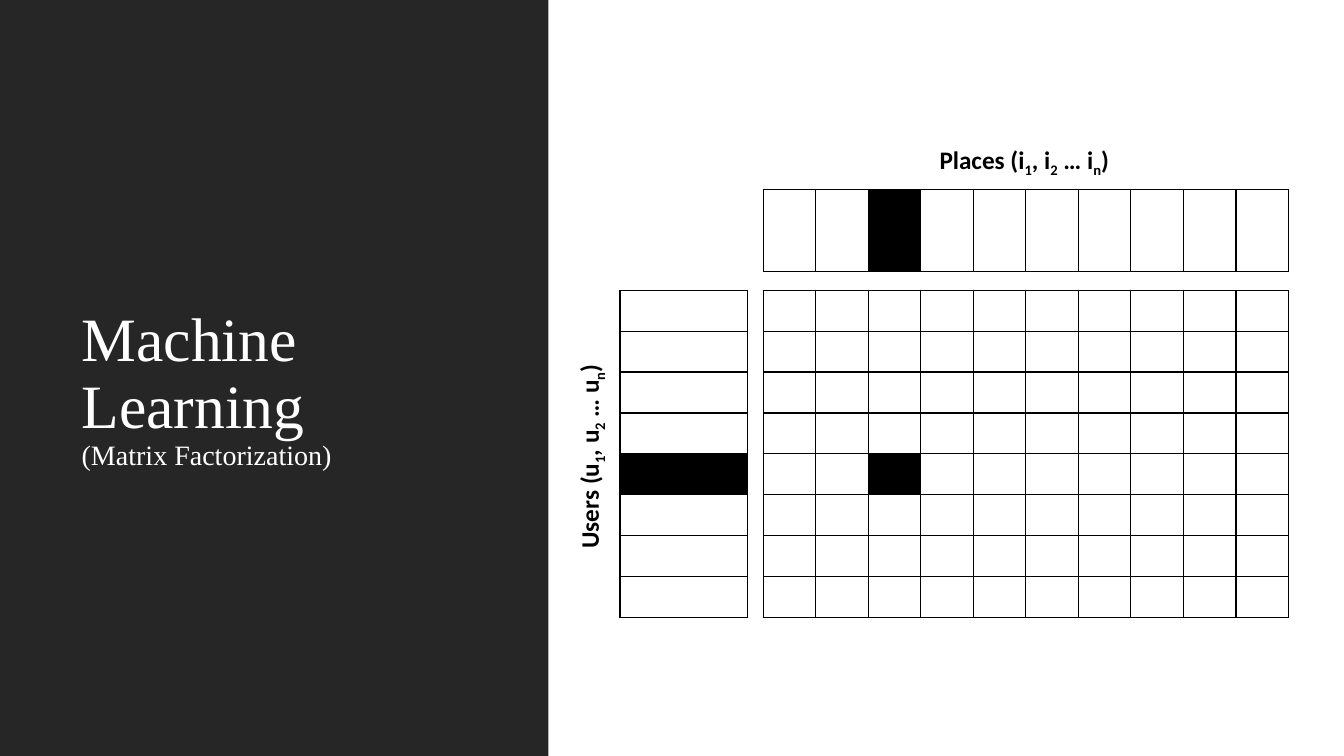
from lxml.etree import SubElement
from pptx import Presentation
from pptx.dml.color import RGBColor
from pptx.enum.shapes import MSO_SHAPE as Shape
from pptx.enum.text import MSO_ANCHOR as Anchor, MSO_AUTO_SIZE as Fit, PP_ALIGN as Align
from pptx.oxml.ns import qn
from pptx.util import Inches, Pt

COLORS = {"panel": "262626", "ink": "000000", "paper": "FFFFFF"}
ROWS, COLS = 8, 10
USER, PLACE = 4, 2
LEFT, TOP, WIDTH, HEIGHT = 7.57, 2.88, 5.21, 3.24


def color(name):
    return RGBColor.from_string(COLORS[name])


def style(run, font, size, ink, bold=False):
    run.font.name, run.font.size, run.font.bold = font, Pt(size), bold
    run.font.color.rgb = color(ink)


def add_panel(slide, x, y, w, h):
    """Dark side panel with the slide title."""
    panel = slide.shapes.add_shape(Shape.RECTANGLE, *map(Inches, (x, y, w, h)))
    panel.shadow.inherit = False
    panel.fill.solid()
    panel.fill.fore_color.rgb = color("panel")
    panel.line.fill.background()

    title = slide.shapes.title
    slide.shapes._spTree.append(title._element)
    title.left, title.top, title.width, title.height = map(
        Inches, (x + 0.71, y + 0.7, w - 1.75, h - 3.47))
    frame = title.text_frame
    frame.text = "Machine Learning \v(Matrix Factorization)"
    frame.word_wrap, frame.auto_size = True, Fit.NONE
    frame.vertical_anchor = Anchor.BOTTOM
    para = frame.paragraphs[0]
    para.alignment, para.line_spacing = Align.LEFT, 0.9
    for run, size in zip(para.runs, (44, 20)):
        style(run, "Times New Roman", size, "paper")


def add_border(cell, bare):
    """Black line on every side of the cell but the bare one."""
    props = cell._tc.get_or_add_tcPr()
    for side in "LRTB":
        line = SubElement(props, qn(f"a:ln{side}"), w=str(Pt(1)))
        if side == bare:
            SubElement(line, qn("a:noFill"))
        else:
            fill = SubElement(line, qn("a:solidFill"))
            SubElement(fill, qn("a:srgbClr"), val=COLORS["ink"])


def add_grid(slide, x, y, w, h, rows, cols, marks, seam=""):
    """Grid with black cells at marks; seam names the sides that meet unlined."""
    table = slide.shapes.add_table(rows, cols, *map(Inches, (x, y, w, h))).table
    table.first_row = table.horz_banding = False
    for col in table.columns:
        col.width = Inches(w / cols)
    for row in table.rows:
        row.height = Inches(h / rows)
    for r in range(rows):
        for c in range(cols):
            cell = table.cell(r, c)
            add_border(cell, seam and seam[r if seam == "BT" else c])
            if (r, c) in marks:
                cell.fill.solid()
                cell.fill.fore_color.rgb = color("ink")
            else:
                cell.fill.background()


def add_label(slide, x, y, w, h, name, sign, turn=0):
    """Axis label such as Places (i1, i2 … in), with subscripts."""
    box = slide.shapes.add_textbox(*map(Inches, (x, y, w, h)))
    box.rotation = turn
    box.text_frame.word_wrap = True
    para = box.text_frame.paragraphs[0]
    parts = (f"{name} ({sign}", "1", f", {sign}", "2", f" … {sign}", "n", ")")
    for i, part in enumerate(parts):
        run = para.add_run()
        run.text = part
        style(run, "Calibri", 18, "ink", bold=True)
        if i % 2:
            run._r.get_or_add_rPr().set("baseline", "-25000")


def add_matrix(slide, x, y, w, h):
    """Rating matrix with its place factors above and user factors at the left."""
    add_grid(slide, x, y - 1, w, 0.81, 2, COLS, [(0, PLACE), (1, PLACE)], "BT")
    add_grid(slide, x - 1.42, y, 1.26, h, ROWS, 2, [(USER, 0), (USER, 1)], "RL")
    add_grid(slide, x, y, w, h, ROWS, COLS, [(USER, PLACE)])
    add_label(slide, x + 1.65, y - 1.5, 1.93, 0.4, "Places", "i")
    add_label(slide, x - 2.77, y + 1.42, 2.08, 0.4, "Users", "u", 270)


def main():
    deck = Presentation()
    deck.slide_width, deck.slide_height = Inches(13.33), Inches(7.5)
    slide = deck.slides.add_slide(deck.slide_layouts[5])
    add_panel(slide, 0, 0, 5.44, 7.5)
    add_matrix(slide, LEFT, TOP, WIDTH, HEIGHT)
    deck.save("out.pptx")


if __name__ == "__main__":
    main()
